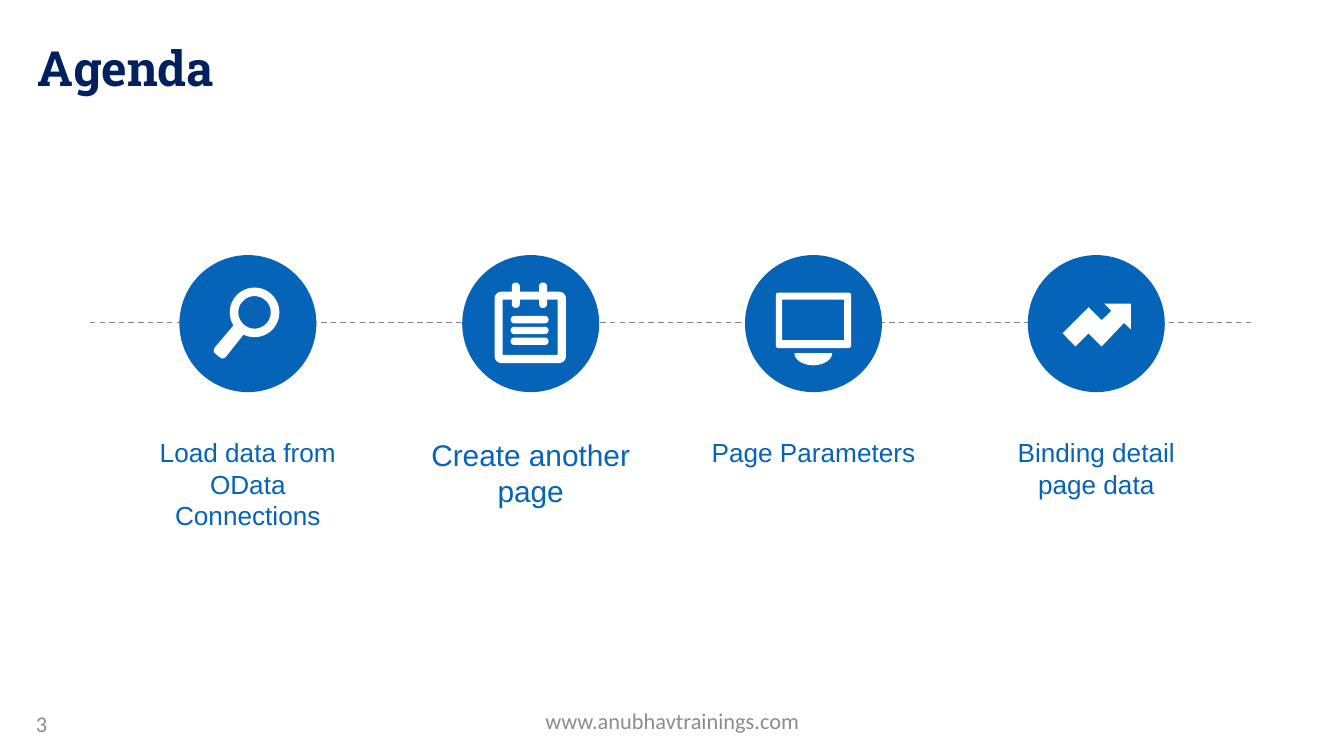
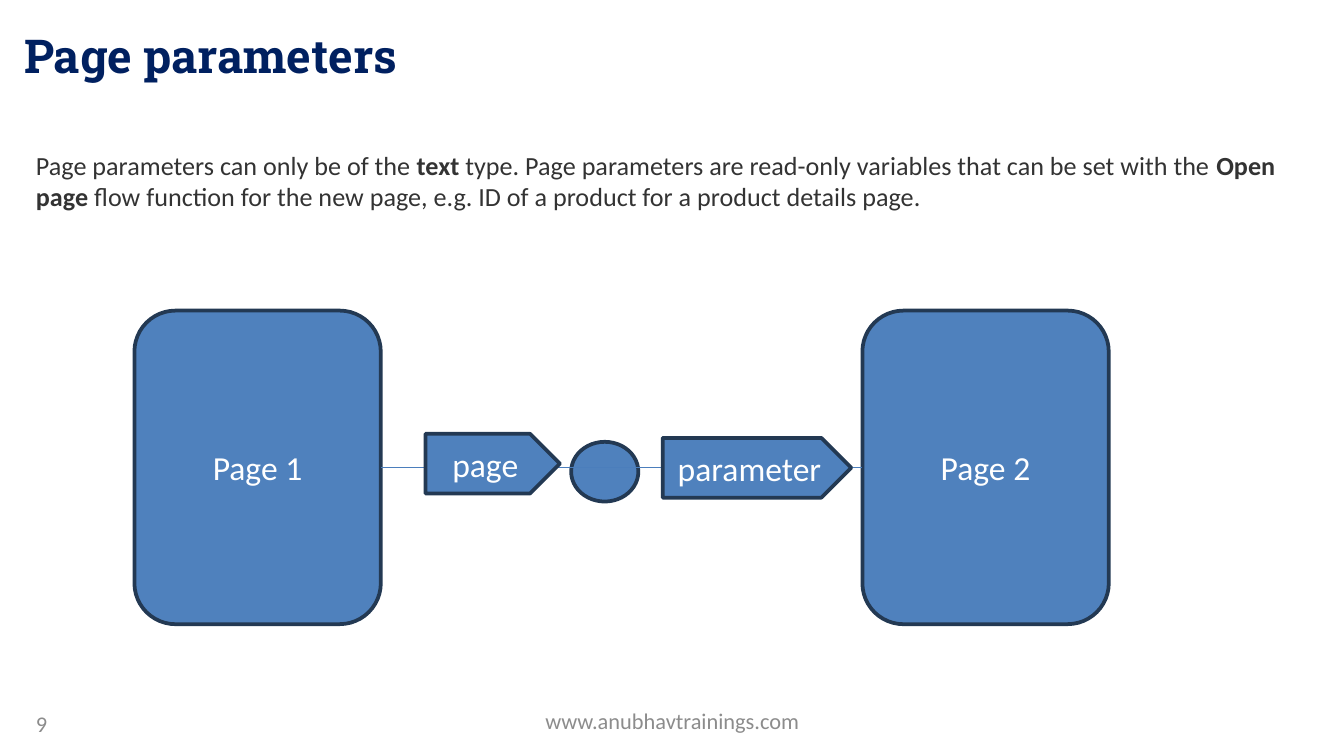
from math import cos, radians, sin

from lxml import etree
from pptx import Presentation
from pptx.dml.color import RGBColor
from pptx.enum.dml import MSO_LINE
from pptx.enum.shapes import MSO_CONNECTOR, MSO_SHAPE as Preset
from pptx.enum.text import MSO_ANCHOR as Anchor, PP_ALIGN as Align
from pptx.oxml.ns import qn
from pptx.util import Pt


def color(value):
    return RGBColor.from_string(value)


# Outlines as lists of points
def arc(center_x, center_y, radius_x, radius_y, start, end, steps):
    angles = [radians(start + (end - start) * i / steps) for i in range(steps + 1)]
    return [(center_x + radius_x * cos(a), center_y + radius_y * sin(a)) for a in angles]


def circle(center_x, center_y, radius):
    return arc(center_x, center_y, radius, radius, 0, 360, 48)


def box(left, top, width, height, radius=0):
    right, bottom = left + width, top + height
    if not radius:
        return [(left, top), (right, top), (right, bottom), (left, bottom)]
    corners = [(right - radius, bottom - radius), (left + radius, bottom - radius),
               (left + radius, top + radius), (right - radius, top + radius)]
    return [point for i, (x, y) in enumerate(corners)
            for point in arc(x, y, radius, radius, 90 * i, 90 * i + 90, 6)]


class Deck:
    NAVY, BLUE, WHITE = "002060", "0563B8", "FFFFFF"
    GRAY, BODY = "8C8C8C", "333333"
    FILL, EDGE, LINK, DASH = "4F81BD", "233953", "4B7EBC", "808080"
    HEADING, SANS, LABEL = "Roboto Slab", "Calibri", "Arial"

    def __init__(self):
        self.presentation = Presentation()
        self.presentation.slide_width = Pt(720)
        self.presentation.slide_height = Pt(405)
        self.slide = None

    def new_slide(self, number, number_width):
        self.slide = self.presentation.slides.add_slide(self.presentation.slide_layouts[6])
        self.text(246.2, 375.1, 228.2, 21.6, ["www.anubhavtrainings.com"], 12, self.GRAY,
                  align=Align.CENTER, anchor=Anchor.MIDDLE)
        self.text(12.2, 376.6, number_width, 21.6, [number], 12, self.GRAY,
                  anchor=Anchor.MIDDLE)

    def title(self, left, top, words, size):
        self.text(left, top, 648, 41.8, [(words, True)], size, self.NAVY, self.HEADING)

    def fill_text(self, frame, runs, size, fill, font, align, anchor):
        """Add runs, each a string or a (string, bold) pair."""
        frame.word_wrap = True
        frame.vertical_anchor = anchor
        paragraph = frame.paragraphs[0]
        paragraph.alignment = align
        for item in runs:
            words, bold = (item, False) if isinstance(item, str) else item
            run = paragraph.add_run()
            run.text = words
            run.font.name, run.font.size, run.font.bold = font, Pt(size), bold
            run.font.color.rgb = color(fill)

    def text(self, left, top, width, height, runs, size, fill, font=SANS,
             align=Align.LEFT, anchor=Anchor.TOP):
        shape = self.slide.shapes.add_textbox(Pt(left), Pt(top), Pt(width), Pt(height))
        self.fill_text(shape.text_frame, runs, size, fill, font, align, anchor)

    def paint(self, shape, fill, edge=None):
        shape.shadow.inherit = False
        shape.fill.solid()
        shape.fill.fore_color.rgb = color(fill)
        if edge:
            shape.line.color.rgb = color(edge)
            shape.line.width = Pt(2)
        else:
            shape.line.fill.background()

    def shape(self, preset, left, top, width, height, fill=FILL, edge=EDGE, words=None):
        shape = self.slide.shapes.add_shape(preset, Pt(left), Pt(top), Pt(width), Pt(height))
        self.paint(shape, fill, edge)
        if words:
            self.fill_text(shape.text_frame, [words], 18, self.WHITE, self.SANS,
                           Align.CENTER, Anchor.MIDDLE)
        return shape

    def icon(self, *outlines):
        """Draw one white freeform; a second outline cuts a hole."""
        outlines = [[(Pt(x), Pt(y)) for x, y in outline] for outline in outlines]
        builder = self.slide.shapes.build_freeform(*outlines[0][0], scale=1.0)
        builder.add_line_segments(outlines[0][1:], close=True)
        for outline in outlines[1:]:
            builder.move_to(*outline[0])
            builder.add_line_segments(outline[1:], close=True)
        self.paint(builder.convert_to_shape(), self.WHITE)

    def line(self, x1, y1, x2, y2, stroke, dash=None):
        connector = self.slide.shapes.add_connector(
            MSO_CONNECTOR.STRAIGHT, Pt(x1), Pt(y1), Pt(x2), Pt(y2))
        connector.line.color.rgb = color(stroke)
        connector.line.width = Pt(0.75)
        if dash:
            connector.line.dash_style = dash
        etree.SubElement(connector._element.spPr, qn("a:effectLst"))
        return connector


def agenda(deck):
    deck.new_slide("3", 167.8)
    deck.title(13, 16.6, "Agenda", 26)

    # Timeline with circles and labels at equal steps
    deck.line(48.2, 172.8, 671.8, 172.8, deck.DASH, MSO_LINE.DASH)
    topics = [("Load data from OData Connections", 14, 58.3),
              ("Create another page", 16, 46.1),
              ("Page Parameters", 14, 24.5),
              ("Binding detail page data", 14, 41)]
    diameter, label_width = 73.4, 126
    for i, (words, size, height) in enumerate(topics):
        center = 132.8 + 151.5 * i
        deck.shape(Preset.OVAL, center - diameter / 2, 136.7, diameter, diameter,
                   deck.BLUE, None)
        deck.text(center - label_width / 2, 230.4, label_width, height, [words], size,
                  deck.BLUE, deck.LABEL, Align.CENTER)

    # Magnifier
    deck.icon(circle(136.4, 167.4, 13.3), circle(136.4, 167.4, 8.7))
    deck.icon([(126.7, 173.6), (130.4, 176.5), (131, 177.6), (130.6, 179.2),
               (120.8, 191.5), (119.4, 192.1), (118, 191.6), (115, 189.1),
               (114.5, 187.7), (115, 186.3), (125.1, 174.4)])

    # Notepad: board, two clips, three lines
    deck.icon(box(265, 156.3, 38.2, 38.2, 3.6), box(269.3, 160.6, 29.5, 29.5))
    for left in (274.2, 288.8):
        deck.icon(box(left, 151.4, 4.3, 13.6, 2.1))
    for i in range(3):
        deck.icon(box(273.6, 169.3 + 5.8 * i, 20.3, 3.9, 1.9))

    # Monitor and its stand
    deck.icon(box(415.6, 156.8, 40.4, 29.7, 1.4), box(419, 160.6, 33.2, 21.6))
    deck.icon(arc(435.7, 189.2, 10.1, 6.5, 0, 180, 16))

    # Rising arrow
    deck.icon([(591.6, 162.7), (605.8, 162.7), (605.8, 176.5), (602.2, 173),
               (590.2, 185.6), (583.2, 178.6), (576.2, 185.6), (569.3, 178.6),
               (583.2, 164.6), (590.2, 171.6), (595.4, 166.5)])


def page_parameters(deck):
    deck.new_slide("9", 36)
    deck.title(5.8, 10.8, "Page parameters", 25)
    deck.text(12.2, 76.3, 696.2, 320.4,
              ["Page parameters can only be of the ", ("text", True),
               " type. Page parameters are read-only variables that can be set with the ",
               ("Open page", True),
               " flow function for the new page, e.g. ID of a product for a product"
               " details page."],
              14, deck.BODY)

    # Two pages joined by a line
    first, second = [deck.shape(Preset.ROUNDED_RECTANGLE, left, 166.4, 132, 168, words=words)
                     for left, words in ((72, "Page 1"), (462, "Page 2"))]
    deck.shape(Preset.OVAL, 306, 236.7, 36, 32)
    link = deck.line(204, 250.4, 462, 250.4, deck.LINK)
    link.begin_connect(first, 3)
    link.end_connect(second, 1)

    # Tags on the line
    for left, top, width, words in ((228, 232.4, 72, "page"), (355, 234.6, 101, "parameter")):
        deck.shape(Preset.PENTAGON, left, top, width, 32, words=words)


def main():
    deck = Deck()
    agenda(deck)
    page_parameters(deck)
    deck.presentation.save("out.pptx")


if __name__ == "__main__":
    main()
